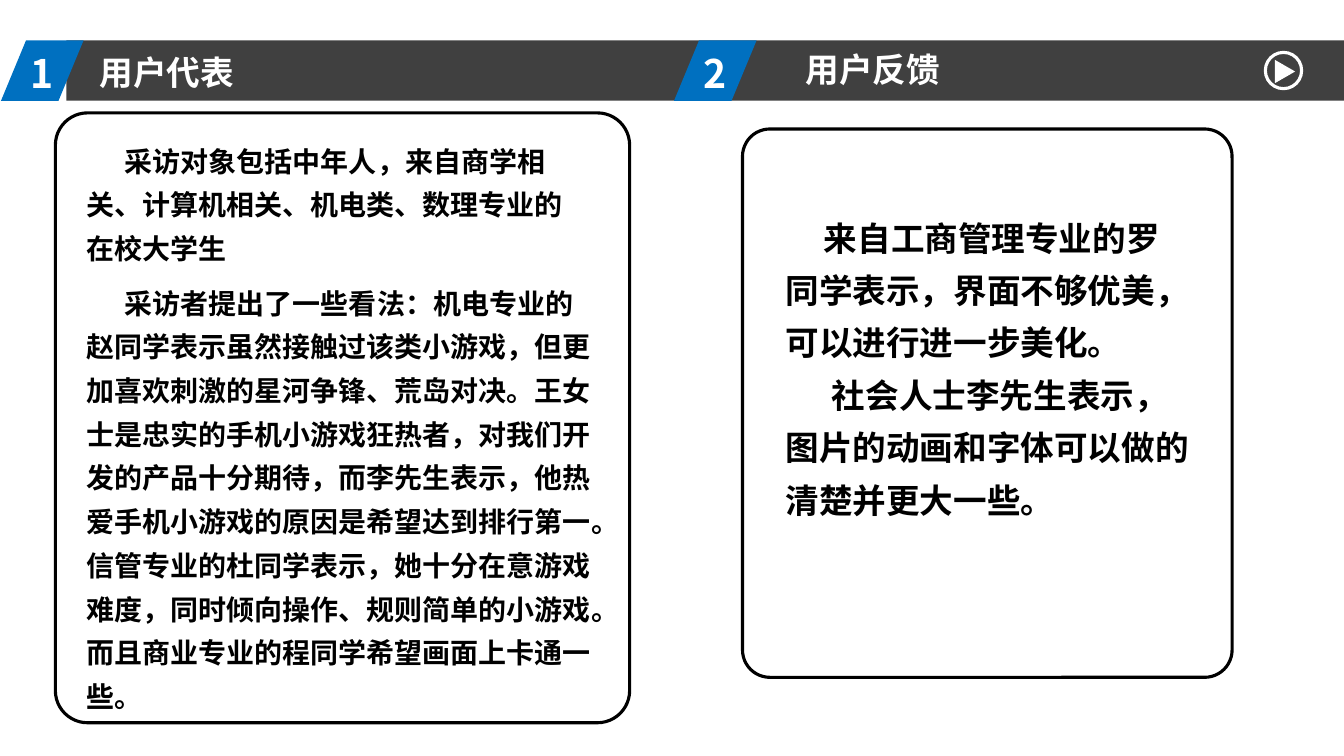
from lxml.etree import SubElement
from pptx import Presentation
from pptx.dml.color import RGBColor
from pptx.enum.shapes import MSO_SHAPE
from pptx.enum.text import MSO_ANCHOR, MSO_AUTO_SIZE, PP_ALIGN
from pptx.oxml.ns import qn
from pptx.util import Inches, Pt

COLORS = {"bar": "404040", "accent": "0070C0", "light": "FFFFFF", "ink": "000000"}
HEADING_FONT = "Noto Sans CJK SC"
BODY_FONT = "Noto Sans CJK JP"
BAR_TOP, BAR_HEIGHT = 0.4, 0.6

INTERVIEWEES = "采访对象包括中年人，来自商学相关、计算机相关、机电类、数理专业的在校大学生"
OPINIONS = (
    "采访者提出了一些看法：机电专业的赵同学表示虽然接触过该类小游戏，"
    "但更加喜欢刺激的星河争锋、荒岛对决。王女士是忠实的手机小游戏狂热者，"
    "对我们开发的产品十分期待，而李先生表示，他热爱手机小游戏的原因是希望达到排行第一。"
    "信管专业的杜同学表示，她十分在意游戏难度，同时倾向操作、规则简单的小游戏。"
    "而且商业专业的程同学希望画面上卡通一些。"
)
FEEDBACK = [
    "来自工商管理专业的罗同学表示，界面不够优美，可以进行进一步美化。",
    "社会人士李先生表示，图片的动画和字体可以做的清楚并更大一些。",
]


def color(name):
    return RGBColor.from_string(COLORS[name])


def add_figure(slide, preset, box, fill=None, line=None):
    figure = slide.shapes.add_shape(preset, *map(Inches, box))
    figure.shadow.inherit = False
    if fill:
        figure.fill.solid()
        figure.fill.fore_color.rgb = color(fill)
    else:
        figure.fill.background()
    if line:
        figure.line.color.rgb = color(line)
        figure.line.width = Pt(2.25)
    else:
        figure.line.fill.background()
    return figure


def write(holder, box, paragraphs, size, font, ink, spacing=1.0, indents=(0,)):
    holder.left, holder.top, holder.width, holder.height = map(Inches, box)
    frame = holder.text_frame
    frame.word_wrap = True
    frame.auto_size = MSO_AUTO_SIZE.NONE
    frame.vertical_anchor = MSO_ANCHOR.TOP
    frame.text = "\n".join(paragraphs)
    for paragraph, indent in zip(frame.paragraphs, indents):
        paragraph.alignment = PP_ALIGN.LEFT
        paragraph.line_spacing = spacing
        paragraph._p.get_or_add_pPr().set("indent", str(Inches(indent)))
        paragraph.font.size = Pt(size)
        paragraph.font.bold = True
        paragraph.font.color.rgb = color(ink)
        paragraph.font.name = font
        SubElement(paragraph.font._element, qn("a:ea")).set("typeface", font)


def add_text(slide, box, *args, **options):
    write(slide.shapes.add_textbox(0, 0, 0, 0), box, *args, **options)


def add_number(slide, left, number):
    tag = add_figure(slide, MSO_SHAPE.PARALLELOGRAM,
                     (left, BAR_TOP, 0.82, BAR_HEIGHT), fill="accent")
    tag.adjustments[0] = 0.415
    add_text(slide, (left + 0.19, BAR_TOP + 0.04, 0.69, 0.57),
             [number], 28, HEADING_FONT, "light")


def add_play_button(slide, left, top, size):
    add_figure(slide, MSO_SHAPE.OVAL, (left, top, size, size), line="light")
    arrow = add_figure(slide, MSO_SHAPE.ISOSCELES_TRIANGLE,
                       (left + 0.08, top + 0.09, 0.23, 0.2), fill="light")
    arrow.rotation = 90


def add_header(slide, width):
    add_figure(slide, MSO_SHAPE.RECTANGLE,
               (0.66, BAR_TOP, width - 0.66, BAR_HEIGHT), fill="bar")
    for left, number in ((0.01, "1"), (6.69, "2")):
        add_number(slide, left, number)
    title = slide.shapes.title
    slide.shapes._spTree.append(title._element)
    write(title, (0.89, 0.46, 2.74, 0.5), ["用户代表"], 24, HEADING_FONT, "light")
    add_text(slide, (7.9, 0.44, 2.74, 0.5), ["用户反馈"], 24, HEADING_FONT, "light")
    add_play_button(slide, 12.56, 0.52, 0.36)


def add_card(slide, box):
    card = add_figure(slide, MSO_SHAPE.ROUNDED_RECTANGLE, box, line="ink")
    card.adjustments[0] = 0.056


def add_representatives(slide, left, top, width, height):
    add_card(slide, (left, top, width, height))
    for text, offset, text_width, text_height in (
        (INTERVIEWEES, 0.16, 4.99, 1.39),
        (OPINIONS, 1.57, 5.25, 4.44),
    ):
        add_text(slide, (left + 0.21, top + offset, text_width, text_height),
                 [text], 20, BODY_FONT, "ink", spacing=1.3, indents=(0.38,))


def add_feedback(slide, left, top, width, height):
    add_card(slide, (left, top, width, height))
    add_text(slide, (left + 0.33, top + 0.71, 4.2, 3.2), FEEDBACK, 24,
             BODY_FONT, "ink", spacing=1.3, indents=(0.38, 0.46))


def main():
    deck = Presentation()
    deck.slide_width, deck.slide_height = Inches(13.34), Inches(7.5)
    slide = deck.slides.add_slide(deck.slide_layouts[5])
    add_header(slide, 13.34)
    add_representatives(slide, 0.55, 1.12, 5.7, 6.05)
    add_feedback(slide, 7.37, 1.28, 4.86, 5.44)
    deck.save("out.pptx")


if __name__ == "__main__":
    main()
